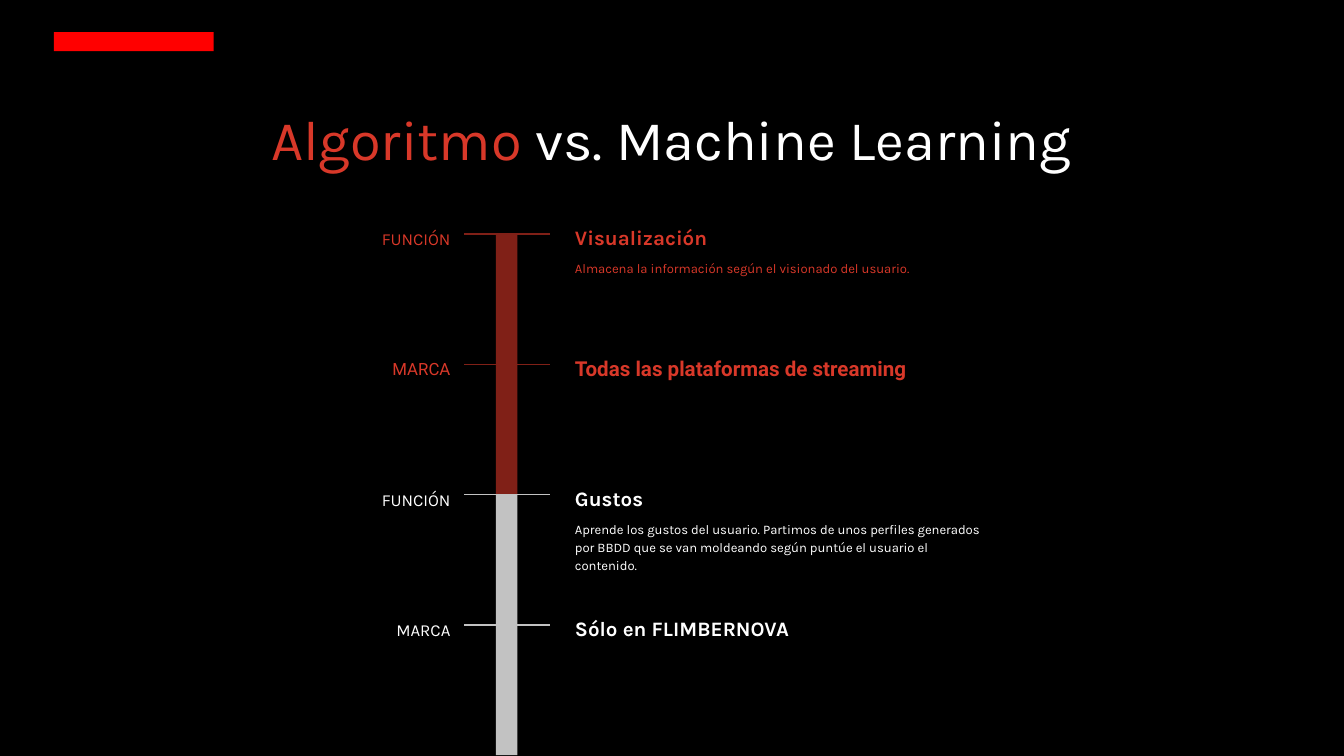
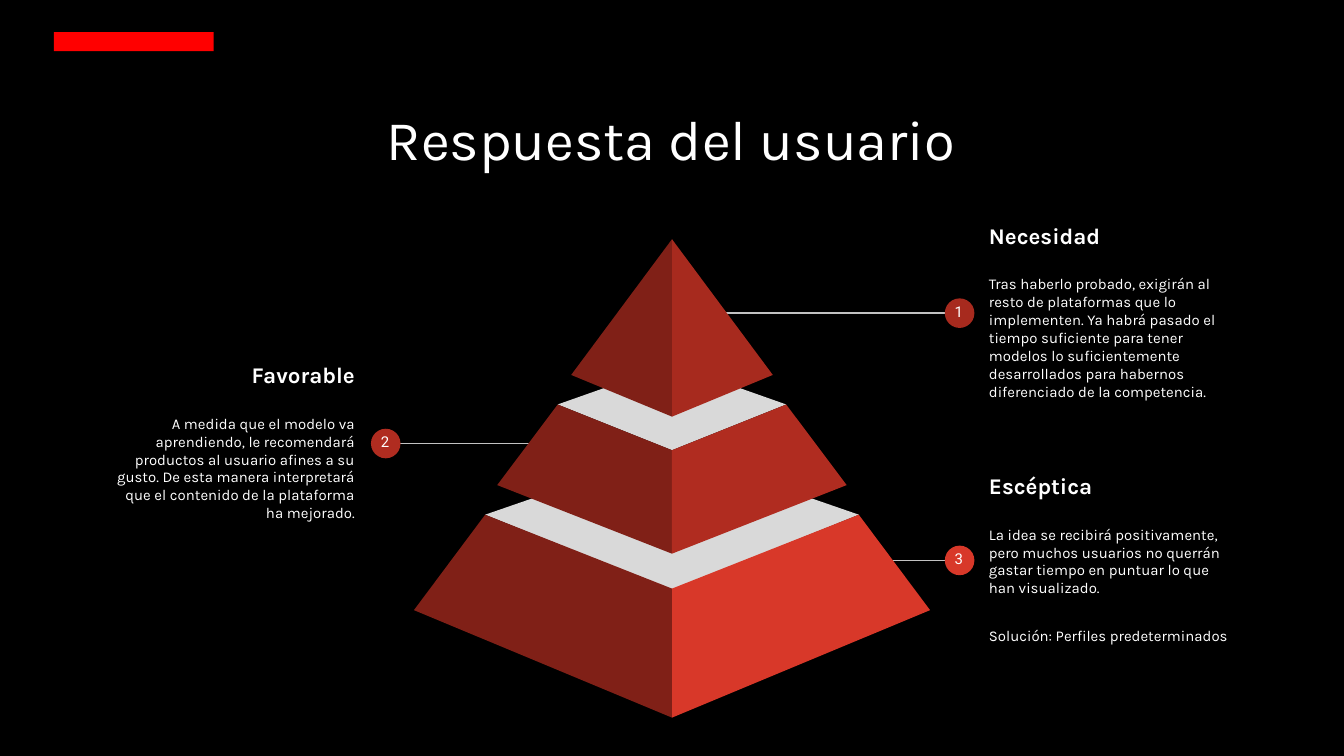
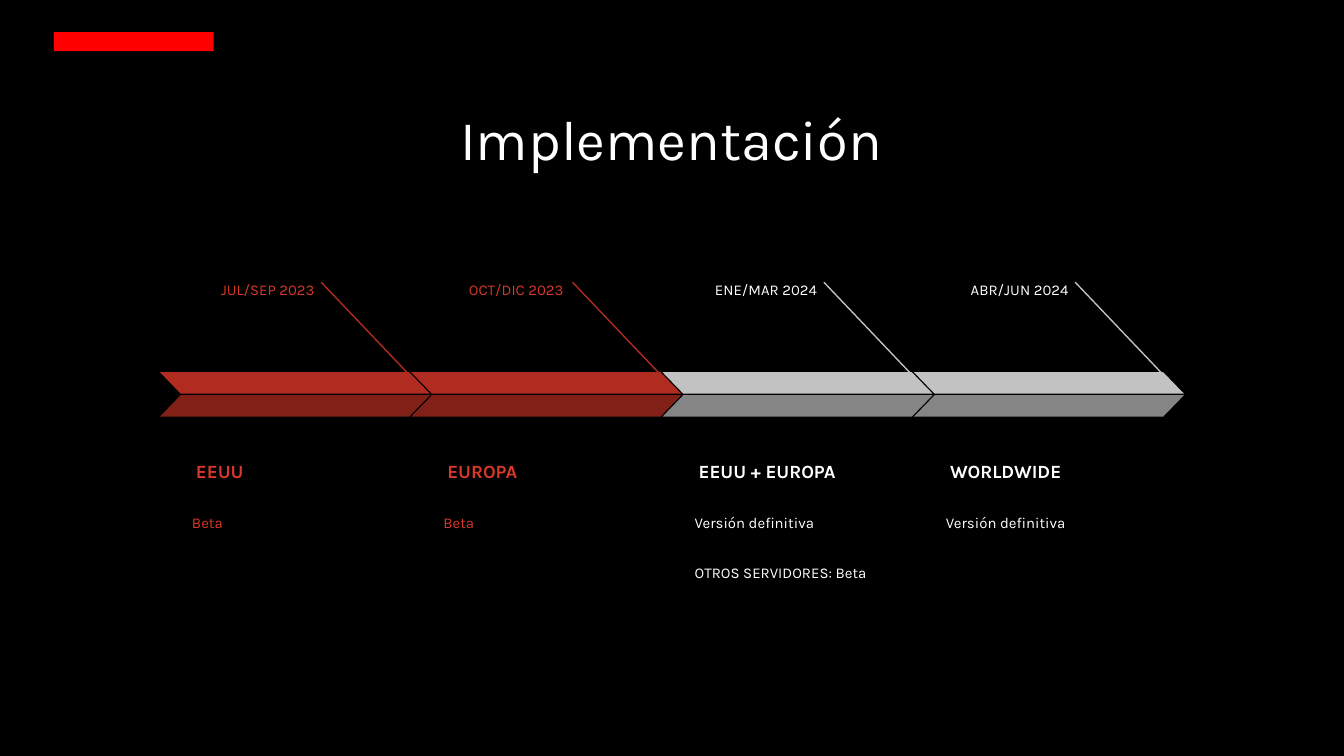
from lxml.etree import SubElement
from pptx import Presentation
from pptx.dml.color import RGBColor
from pptx.enum.shapes import MSO_CONNECTOR, MSO_SHAPE, MSO_SHAPE_TYPE
from pptx.enum.text import MSO_ANCHOR, MSO_AUTO_SIZE, PP_ALIGN
from pptx.oxml.ns import qn
from pptx.util import Inches, Pt

BLACK, WHITE, BRIGHT_RED = "000000", "FFFFFF", "FF0000"
RED, MID_RED, DEEP_RED, DARK_RED = "D83829", "B02C20", "A72A1E", "802017"
SILVER, GREY, PALE = "C2C2C2", "858585", "D9D9D9"
LEFT, CENTER, RIGHT = PP_ALIGN.LEFT, PP_ALIGN.CENTER, PP_ALIGN.RIGHT


def paint(fill, colour):
    fill.solid()
    fill.fore_color.rgb = RGBColor.from_string(colour)


def write(box, rows, align=LEFT, font="Karla", leading=1.0, anchor=MSO_ANCHOR.TOP):
    frame = box.text_frame
    frame.word_wrap = True
    frame.auto_size = MSO_AUTO_SIZE.NONE
    frame.vertical_anchor = anchor
    frame.margin_left = frame.margin_right = Inches(0.1)
    frame.margin_top = frame.margin_bottom = Inches(0.1)
    for index, (spans, before, after) in enumerate(rows):
        para = frame.add_paragraph() if index else frame.paragraphs[0]
        para.alignment = align
        para.line_spacing = leading
        para.space_before, para.space_after = Pt(before), Pt(after)
        for text, size, colour, bold in spans:
            span = para.add_run()
            span.text = text
            span.font.name = font
            span.font.size = Pt(size)
            span.font.bold = bold
            paint(span.font.fill, colour)


deck = Presentation()
deck.slide_width, deck.slide_height = Inches(10), Inches(5.625)
paint(deck.slide_master.background.fill, BLACK)

titles = [
    [("Algoritmo ", RED), ("vs. Machine Learning", WHITE)],
    [("Respuesta del usuario", WHITE)],
    [("Implementación", WHITE)],
]
for title in titles:
    page = deck.slides.add_slide(deck.slide_layouts[5])
    box = page.shapes.title
    box.left, box.top, box.width, box.height = map(Inches, (0.27, 0.68, 9.45, 0.71))
    write(box, [([(text, 30, colour, False) for text, colour in title], 0, 0)], CENTER)
    badge = page.shapes.add_shape(MSO_SHAPE.RECTANGLE, Inches(0.4), Inches(0.24), Inches(1.19), Inches(0.14))
    paint(badge.fill, BRIGHT_RED)
comparison, response, rollout = deck.slides

stages = [
    ("FUNCIÓN", "Visualización", "Almacena la información según el visionado del usuario.", RED, DARK_RED, "Karla"),
    ("MARCA", "Todas las plataformas de streaming", "", RED, DARK_RED, "Roboto"),
    ("FUNCIÓN", "Gustos", "Aprende los gustos del usuario. Partimos de unos perfiles generados por BBDD que se van moldeando según puntúe el usuario el contenido.", WHITE, SILVER, "Karla"),
    ("MARCA", "Sólo en FLIMBERNOVA", "", WHITE, SILVER, "Karla"),
]
shapes = comparison.shapes
for index, (label, heading, detail, colour, bar_colour, font) in enumerate(stages):
    top = 1.74 + 0.97 * index
    bar = shapes.add_shape(MSO_SHAPE.RECTANGLE, Inches(3.69), Inches(top), Inches(0.16), Inches(0.97))
    paint(bar.fill, bar_colour)
    tick = shapes.add_connector(MSO_CONNECTOR.STRAIGHT, Inches(4.09), Inches(top), Inches(3.45), Inches(top))
    paint(tick.line.fill, bar_colour)
    box = shapes.add_textbox(Inches(4.18), Inches(top - 0.19), Inches(3.27), Inches(0.27))
    write(box, [([(heading, 11, colour, True)], 0, 0)], font=font, leading=1.15)
    if detail:
        box = shapes.add_textbox(Inches(4.18), Inches(top + 0.08), Inches(3.27), Inches(0.4))
        write(box, [([(detail, 7, colour, False)], 0, 16)], leading=1.15)
    box = shapes.add_textbox(Inches(2.54), Inches(top - 0.16), Inches(0.91), Inches(0.34))
    write(box, [([(label, 9, colour, False)], 0, 0)], RIGHT, font, 1.15)

reactions = [
    ("3", "Escéptica", ["La idea se recibirá positivamente, pero muchos usuarios no querrán gastar tiempo en puntuar lo que han visualizado.", "Solución: Perfiles predeterminados"], RED, 4.17, 7.14, 6.6, 7.26, LEFT),
    ("2", "Favorable", ["A medida que el modelo va aprendiendo, le recomendará productos al usuario afines a su gusto. De esta manera interpretará que el contenido de la plataforma ha mejorado."], MID_RED, 3.3, 2.87, 3.97, 0.7, RIGHT),
    ("1", "Necesidad", ["Tras haberlo probado, exigirán al resto de plataformas que lo implementen. Ya habrá pasado el tiempo suficiente para tener modelos lo suficientemente desarrollados para habernos diferenciado de la competencia."], DEEP_RED, 2.33, 7.14, 5.37, 7.26, LEFT),
]
shapes = response.shapes
for number, heading, details, colour, middle, center, edge, text_left, align in reactions:
    leader = shapes.add_connector(MSO_CONNECTOR.STRAIGHT, Inches(edge), Inches(middle), Inches(center), Inches(middle))
    paint(leader.line.fill, SILVER)
    rows = [([(heading, 12, WHITE, True)], 0, 14)]
    for index, detail in enumerate(details):
        rows.append(([(detail, 8, WHITE, False)], 16 * index, 16 if detail == details[-1] else 0))
    box = shapes.add_textbox(Inches(text_left), Inches(middle - 0.77), Inches(2.04), Inches(1.51))
    write(box, rows, align, anchor=MSO_ANCHOR.MIDDLE)
    dot = shapes.add_shape(MSO_SHAPE.OVAL, Inches(center - 0.11), Inches(middle - 0.11), Inches(0.22), Inches(0.22))
    paint(dot.fill, colour)
    box = shapes.add_textbox(Inches(center - 0.14), Inches(middle - 0.18), Inches(0.27), Inches(0.34))
    write(box, [([(number, 8, WHITE, False)], 0, 16)], CENTER, "Roboto")

tiers = [
    ([(-1.39, 3.83), (0, 4.39), (1.39, 3.83), (0, 3.35)], [(1.39, 3.83), (1.92, 4.54), (0, 5.34), (0, 4.38)], RED),
    ([(-0.85, 3.01), (0, 3.35), (0.85, 3.01), (0, 2.71)], [(0.85, 3.01), (0, 3.35), (0, 4.12), (1.3, 3.61)], MID_RED),
    ([], [(0, 1.78), (0.75, 2.79), (0, 3.1)], DEEP_RED),
]
for lid, side, colour in tiers:
    for outline, direction, face_colour in [(lid, 1, PALE), (side, -1, DARK_RED), (side, 1, colour)]:
        if outline:
            points = [(Inches(5 + direction * x), Inches(y)) for x, y in outline]
            builder = shapes.build_freeform(*points[0])
            builder.add_line_segments(points[1:], close=True)
            paint(builder.convert_to_shape().fill, face_colour)

phases = [
    ("JUL/SEP 2023", 0.92, RIGHT, "EEUU", ["Beta"], RED, MID_RED, DARK_RED),
    ("OCT/DIC 2023", 0.92, LEFT, "EUROPA", ["Beta"], RED, MID_RED, DARK_RED),
    ("ENE/MAR 2024", 0.97, RIGHT, "EEUU + EUROPA", ["Versión definitiva", "OTROS SERVIDORES: Beta"], WHITE, SILVER, GREY),
    ("ABR/JUN 2024", 0.95, RIGHT, "WORLDWIDE", ["Versión definitiva"], WHITE, SILVER, GREY),
]
shapes = rollout.shapes
for index, (date, width, align, region, details, colour, upper, lower) in enumerate(phases):
    left = 1.19 + 1.87 * index
    box = shapes.add_textbox(Inches(left + 1.25 - width), Inches(1.97), Inches(width), Inches(0.26))
    write(box, [([(date, 8, colour, False)], 0, 16)], align, leading=1.15)
    box = shapes.add_textbox(Inches(left + 0.17), Inches(3.2), Inches(1.65), Inches(0.49))
    write(box, [([(region, 10, colour, True)], 0, 0)], leading=1.15, anchor=MSO_ANCHOR.BOTTOM)
    box = shapes.add_textbox(Inches(left + 0.14), Inches(3.7), Inches(1.69), Inches(0.81))
    rows = []
    for position, detail in enumerate(details):
        rows.append(([(detail, 8, colour, False)], 16 * position, 16 if detail == details[-1] else 0))
    write(box, rows, leading=1.15)
    leader = shapes.add_connector(MSO_CONNECTOR.STRAIGHT, Inches(left + 1.2), Inches(2.1), Inches(left + 1.98), Inches(2.92))
    paint(leader.line.fill, upper)
    for top, band_colour, flipped in [(2.77, upper, "1"), (2.94, lower, "0")]:
        band = shapes.add_shape(MSO_SHAPE.PARALLELOGRAM, Inches(left), Inches(top), Inches(2.01), Inches(0.16))
        band.adjustments[0] = 0.97
        band._element.spPr.xfrm.set("flipH", flipped)
        paint(band.fill, band_colour)

for page in deck.slides:
    for shape in page.shapes:
        if shape.shape_type == MSO_SHAPE_TYPE.LINE:
            shape.line.width = Pt(0.75)
            SubElement(shape._element.spPr, qn("a:effectLst"))
        elif shape.shape_type in (MSO_SHAPE_TYPE.AUTO_SHAPE, MSO_SHAPE_TYPE.FREEFORM):
            shape.shadow.inherit = False
            shape.line.fill.background()

deck.save("out.pptx")
